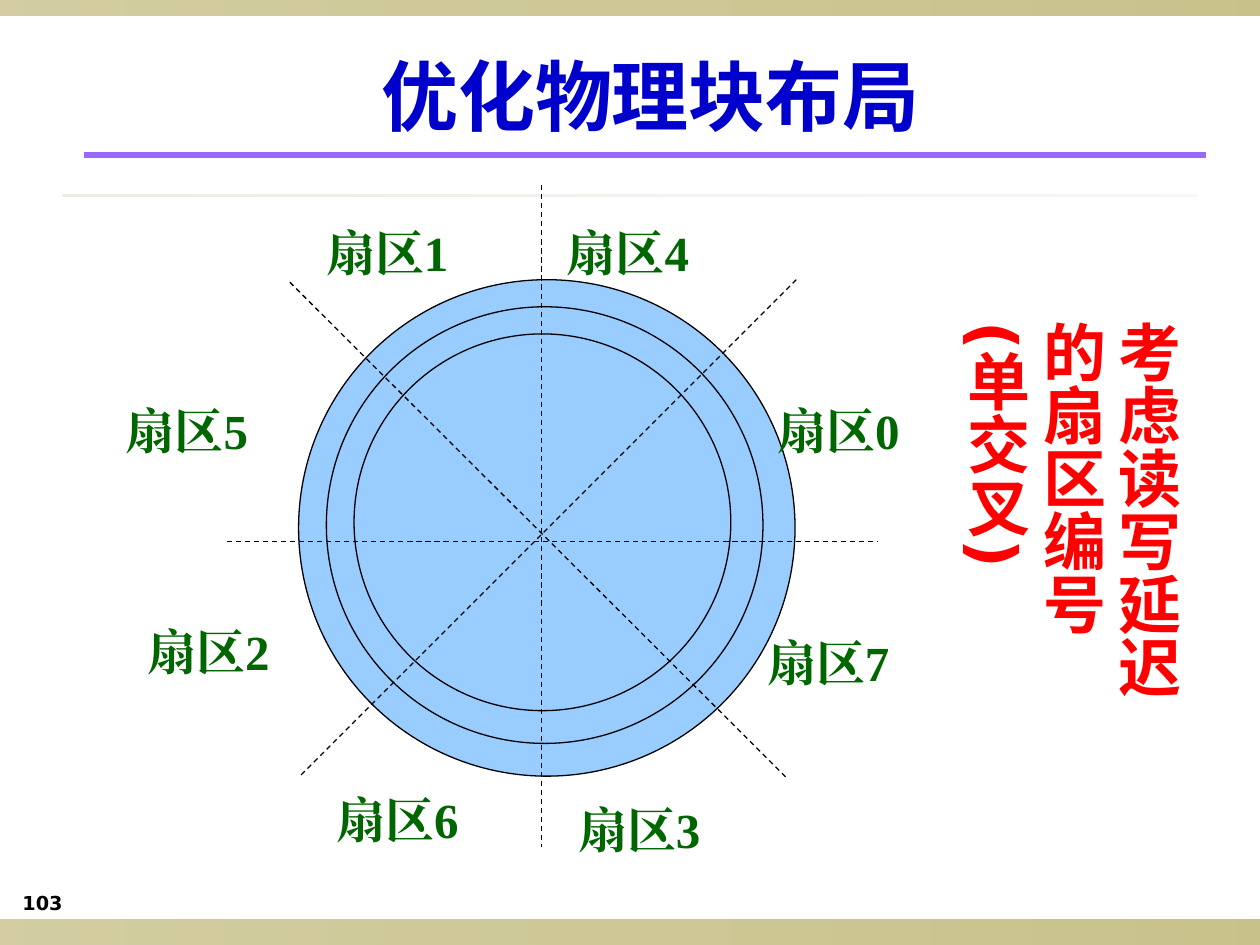
from dataclasses import dataclass

from lxml import etree
from pptx import Presentation
from pptx import util as u
from pptx.dml.color import RGBColor
from pptx.enum import dml, shapes, text
from pptx.oxml import ns

COLUMNS, ROWS = 100, 75
WIDTH, HEIGHT = u.Inches(10), u.Inches(7.5)

BLACK = RGBColor(0x00, 0x00, 0x00)
OLIVE = RGBColor(0x91, 0x84, 0x15)
SAND = RGBColor(0xDC, 0xD9, 0xCC)
DISC_BLUE = RGBColor(0x99, 0xCC, 0xFF)
SECTOR_GREEN = RGBColor(0x00, 0x66, 0x00)
NOTE_RED = RGBColor(0xFF, 0x00, 0x00)
TITLE_BLUE = RGBColor(0x00, 0x00, 0xCC)
RULE_PURPLE = RGBColor(0x99, 0x66, 0xFF)


@dataclass(frozen=True)
class Area:
    column: float
    row: float
    columns: float
    rows: float

    def lengths(self) -> tuple:
        return (across(self.column), down(self.row),
                across(self.columns), down(self.rows))


@dataclass(frozen=True)
class Band:
    area: Area
    color: RGBColor
    opacities: tuple


@dataclass(frozen=True)
class Stroke:
    start: tuple
    end: tuple
    color: RGBColor = BLACK
    points: float = 0.75
    dashed: bool = True


@dataclass(frozen=True)
class Label:
    area: Area
    wording: str
    points: float
    font: str
    color: RGBColor
    align: text.PP_ALIGN = text.PP_ALIGN.LEFT
    anchor: text.MSO_ANCHOR = text.MSO_ANCHOR.TOP
    insets: tuple = (0.1, 0.05)
    grows: bool = False
    vertical: bool = False


def across(columns: float) -> int:
    return round(WIDTH * columns / COLUMNS)


def down(rows: float) -> int:
    return round(HEIGHT * rows / ROWS)


def draw_band(canvas, band: Band) -> None:
    shape = canvas.add_shape(shapes.MSO_SHAPE.RECTANGLE, *band.area.lengths())
    shape.shadow.inherit = False
    shape.line.fill.background()
    shape.fill.gradient()
    shape.fill.gradient_angle = 0
    for stop, opacity in zip(shape.fill.gradient_stops, band.opacities):
        stop.color.rgb = band.color
    for color, opacity in zip(shape._element.spPr.iter(ns.qn("a:srgbClr")), band.opacities):
        etree.SubElement(color, ns.qn("a:alpha"), val=str(opacity * 1000))


def draw_ring(canvas, area: Area) -> None:
    ring = canvas.add_shape(shapes.MSO_SHAPE.OVAL, *area.lengths())
    ring.shadow.inherit = False
    ring.fill.solid()
    ring.fill.fore_color.rgb = DISC_BLUE
    ring.line.color.rgb = BLACK
    ring.line.width = u.Pt(0.75)


def draw_stroke(canvas, stroke: Stroke) -> None:
    line = canvas.add_connector(
        shapes.MSO_CONNECTOR.STRAIGHT,
        across(stroke.start[0]), down(stroke.start[1]),
        across(stroke.end[0]), down(stroke.end[1]))
    line.line.color.rgb = stroke.color
    line.line.width = u.Pt(stroke.points)
    if stroke.dashed:
        line.line.dash_style = dml.MSO_LINE.DASH
    etree.SubElement(line._element.spPr, ns.qn("a:effectLst"))


def draw_label(canvas, label: Label) -> None:
    box = canvas.add_textbox(*label.area.lengths())
    frame = box.text_frame
    frame.word_wrap = True
    frame.vertical_anchor = label.anchor
    frame.margin_left = frame.margin_right = u.Inches(label.insets[0])
    frame.margin_top = frame.margin_bottom = u.Inches(label.insets[1])
    if label.grows:
        frame.auto_size = text.MSO_AUTO_SIZE.SHAPE_TO_FIT_TEXT
    if label.vertical:
        frame._txBody.bodyPr.set("vert", "eaVert")
    para = frame.paragraphs[0]
    para.alignment = label.align
    span = para.add_run()
    span.text = label.wording
    span.font.size = u.Pt(label.points)
    span.font.bold = True
    span.font.color.rgb = label.color
    span.font.name = label.font
    etree.SubElement(span.font._element, ns.qn("a:ea"), typeface=label.font)


BANDS = [
    Band(Area(0, 73, 100, 2), OLIVE, (40, 50)),
    Band(Area(0, 0, 100, 1.2), OLIVE, (40, 50)),
    Band(Area(5, 15.4, 90, 0.2), SAND, (50, 20)),
]

RINGS = [
    Area(23.7 + 2.2 * step, 22.2 + 2.15 * step, 39.4 - 4.75 * step, 39.4 - 4.75 * step)
    for step in range(3)
]

DIVIDERS = [
    Stroke((23, 22.4), (62.4, 61.7)),
    Stroke((23.9, 61.5), (63.2, 22.2)),
    Stroke((43, 14.7), (43, 67.2)),
    Stroke((18, 43), (69.7, 43)),
]

SECTOR_PLACES = {
    0: (60.7, 31.3),
    7: (59.9, 49.7),
    3: (44.9, 63),
    6: (25.7, 62.2),
    2: (10.7, 48.8),
    5: (9, 31.3),
    1: (24.9, 17.2),
    4: (44, 17.2),
}

SECTORS = [
    Label(Area(column, row, 14, 5.7), f"扇区{number}", 28, "Times New Roman",
          SECTOR_GREEN, grows=True)
    for number, (column, row) in SECTOR_PLACES.items()
]

PAGE_NUMBER = Label(Area(0.8, 70, 35, 3.1), "103", 11, "DejaVu Sans", BLACK,
                    anchor=text.MSO_ANCHOR.BOTTOM)
NOTE = Label(Area(74, 24.1, 20.8, 33.1), "考虑读写延迟的扇区编号(单交叉)", 36,
             "DejaVu Sans", NOTE_RED, insets=(0.07, 0.14), grows=True, vertical=True)
TITLE = Label(Area(3.3, 1.3, 96.7, 12.5), "优化物理块布局", 44, "Noto Sans CJK SC",
              TITLE_BLUE, align=text.PP_ALIGN.CENTER, anchor=text.MSO_ANCHOR.MIDDLE)
TITLE_RULE = Stroke((6.7, 12.3), (95.7, 12.3), RULE_PURPLE, 3, False)


def main() -> None:
    deck = Presentation()
    deck.slide_width, deck.slide_height = WIDTH, HEIGHT
    page = deck.slides.add_slide(deck.slide_layouts[6])
    for band in BANDS:
        draw_band(page.shapes, band)
    draw_label(page.shapes, PAGE_NUMBER)
    disc = page.shapes.add_group_shape().shapes
    for ring in RINGS:
        draw_ring(disc, ring)
    for divider in DIVIDERS:
        draw_stroke(disc, divider)
    for sector in SECTORS:
        draw_label(disc, sector)
    for label in (NOTE, TITLE):
        draw_label(page.shapes, label)
    draw_stroke(page.shapes, TITLE_RULE)
    deck.save("out.pptx")


if __name__ == "__main__":
    main()
